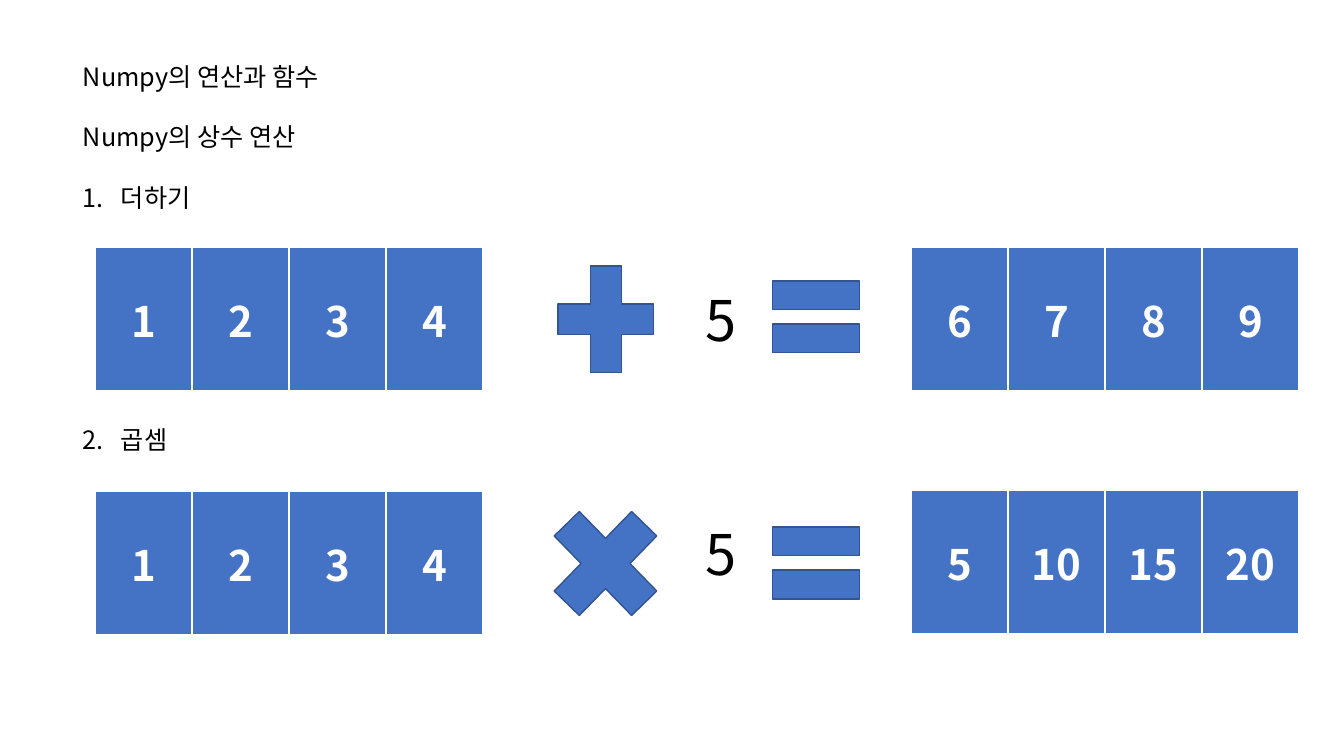
"""Build a slide showing NumPy arrays combined with a constant."""
from dataclasses import dataclass
from typing import Any, Optional

import pptx
import pptx.dml.color
import pptx.enum.shapes
import pptx.enum.text
import pptx.oxml
import pptx.oxml.ns
import pptx.util

EMU_PER_PX = 914400 / 100.8
FONT = "Noto Sans CJK KR"
COLORS = {"text": "000000", "paper": "FFFFFF", "fill": "4472C4", "outline": "325491"}
BORDERS_PT = {"lnL": 1, "lnR": 1, "lnT": 1, "lnB": 3}
LINE_PT = 21.6
CELL_WIDTH, CELL_HEIGHT = 97, 145
SIGN = pptx.enum.shapes.MSO_SHAPE
ALIGN = pptx.enum.text.PP_ALIGN


@dataclass(frozen=True)
class Box:
    left: int
    top: int
    width: int
    height: int

    def emu(self) -> list[int]:
        return [px(n) for n in (self.left, self.top, self.width, self.height)]


@dataclass(frozen=True)
class Heading:
    wording: str
    empty_lines: int = 1
    numbered: bool = False


@dataclass(frozen=True)
class Operation:
    operand: list[int]
    operand_top: int
    operator: SIGN
    operator_box: Box
    constant_top: int
    equals_top: int
    result: list[int]
    result_top: int


HEADINGS = [
    Heading("Numpy의 연산과 함수", empty_lines=0),
    Heading("Numpy의 상수 연산"),
    Heading("더하기", numbered=True),
    Heading("곱셈", empty_lines=7, numbered=True),
]
OPERATIONS = [
    Operation([1, 2, 3, 4], 247, SIGN.MATH_PLUS, Box(541, 247, 130, 145),
              281, 256, [6, 7, 8, 9], 247),
    Operation([1, 2, 3, 4], 491, SIGN.MATH_MULTIPLY, Box(531, 487, 149, 153),
              515, 502, [5, 10, 15, 20], 490),
]


def px(length: int) -> int:
    return round(length * EMU_PER_PX)


def rgb(name: str) -> pptx.dml.color.RGBColor:
    return pptx.dml.color.RGBColor.from_string(COLORS[name])


def write(paragraph: Any, wording: str, *, size: int, color: str = "text",
          bold: bool = False, align: Optional[ALIGN] = None) -> None:
    paragraph.alignment = align
    run = paragraph.add_run()
    run.text = wording
    run.font.size = pptx.util.Pt(size)
    run.font.name = FONT
    run.font.bold = bold
    run.font.color.rgb = rgb(color)
    east_asian = pptx.oxml.parse_xml(
        f'<a:ea {pptx.oxml.ns.nsdecls("a")} typeface="{FONT}"/>')
    run.font._element.append(east_asian)


def add_frame(slide: Any, box: Box) -> Any:
    frame = slide.shapes.add_textbox(*box.emu()).text_frame
    frame.word_wrap = True
    return frame


def number(paragraph: Any) -> None:
    properties = paragraph._p.get_or_add_pPr()
    properties.set("marL", str(px(38)))
    properties.set("indent", str(-px(38)))
    properties.append(pptx.oxml.parse_xml(
        f'<a:buAutoNum {pptx.oxml.ns.nsdecls("a")} type="arabicPeriod"/>'))


def add_headings(slide: Any) -> None:
    frame = add_frame(slide, Box(73, 54, 1222, 407))
    frame.margin_top = px(7)
    for index, heading in enumerate(HEADINGS):
        paragraph = frame.add_paragraph() if index else frame.paragraphs[0]
        write(paragraph, heading.wording, size=18)
        paragraph.line_spacing = pptx.util.Pt(LINE_PT)
        paragraph.space_before = pptx.util.Pt(LINE_PT * heading.empty_lines)
        if heading.numbered:
            number(paragraph)


def add_borders(cell: Any) -> None:
    properties = cell._tc.get_or_add_tcPr()
    for index, (side, points) in enumerate(BORDERS_PT.items()):
        properties.insert(index, pptx.oxml.parse_xml(
            f'<a:{side} {pptx.oxml.ns.nsdecls("a")} w="{pptx.util.Pt(points)}">'
            f'<a:solidFill><a:srgbClr val="{COLORS["paper"]}"/></a:solidFill></a:{side}>'))


def add_array(slide: Any, values: list[int], left: int, top: int) -> None:
    box = Box(left, top, CELL_WIDTH * len(values), CELL_HEIGHT)
    array = slide.shapes.add_table(1, len(values), *box.emu()).table
    array.first_row = array.horz_banding = False
    for index, value in enumerate(values):
        array.columns[index].width = px(CELL_WIDTH)
        cell = array.cell(0, index)
        cell.vertical_anchor = pptx.enum.text.MSO_ANCHOR.MIDDLE
        cell.fill.solid()
        cell.fill.fore_color.rgb = rgb("fill")
        add_borders(cell)
        write(cell.text_frame.paragraphs[0], str(value), size=30,
              color="paper", bold=True, align=ALIGN.CENTER)


def add_sign(slide: Any, kind: SIGN, box: Box) -> None:
    sign = slide.shapes.add_shape(kind, *box.emu())
    sign.shadow.inherit = False
    sign.fill.solid()
    sign.fill.fore_color.rgb = rgb("fill")
    sign.line.color.rgb = rgb("outline")
    sign.line.width = pptx.util.Pt(1)


def add_operation(slide: Any, operation: Operation) -> None:
    add_array(slide, operation.operand, 95, operation.operand_top)
    add_sign(slide, operation.operator, operation.operator_box)
    constant = add_frame(slide, Box(696, operation.constant_top, 218, 78))
    write(constant.paragraphs[0], "5", size=40)
    add_sign(slide, SIGN.MATH_EQUAL, Box(757, operation.equals_top, 118, 122))
    add_array(slide, operation.result, 911, operation.result_top)


def main() -> None:
    presentation = pptx.Presentation()
    presentation.slide_width = px(1344)
    presentation.slide_height = px(756)
    slide = presentation.slides.add_slide(presentation.slide_layouts[6])
    add_headings(slide)
    for operation in OPERATIONS:
        add_operation(slide, operation)
    presentation.save("out.pptx")


if __name__ == "__main__":
    main()
